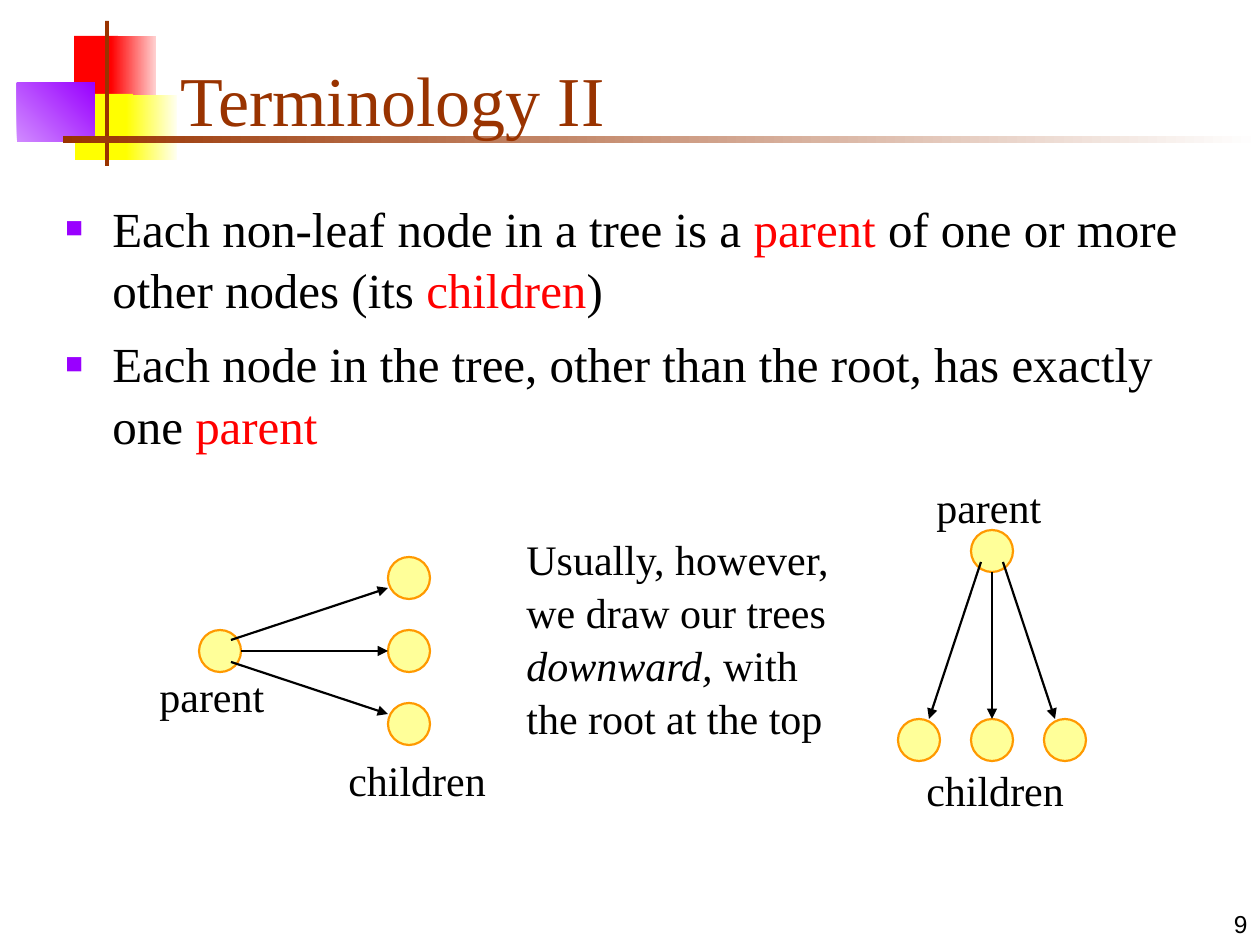
import pptx
import pptx.util
import pptx.dml.color
import pptx.enum.shapes
import pptx.enum.text
import pptx.oxml
import pptx.oxml.ns
import lxml.etree

PX = 914400 // 126
SERIF = "Times New Roman"
COLORS = {"black": "000000", "red": "FF0000", "pale red": "FFD1D1",
          "yellow": "FFFF00", "pale yellow": "FFFFF0", "purple": "9900FF",
          "lilac": "D18BFF", "brown": "993300", "white": "FFFFFF",
          "node": "FFFF99", "node edge": "FF9900"}
SHAPE = pptx.enum.shapes.MSO_SHAPE
ALIGN = pptx.enum.text.PP_ALIGN
ANCHOR = pptx.enum.text.MSO_ANCHOR
rgb = {name: pptx.dml.color.RGBColor.from_string(code) for name, code in COLORS.items()}

deck = pptx.Presentation()
deck.slide_width = pptx.util.Inches(10)
deck.slide_height = pptx.util.Inches(7.5)
slide = deck.slides.add_slide(deck.slide_layouts[6])


def write(paragraphs, box, size=24, font=SERIF, color="black", align=ALIGN.LEFT,
          anchor=ANCHOR.TOP, spacing=1.05, before=0, bullet=False):
    """Each paragraph is a list of runs: (text, color or None, italic)."""
    frame = slide.shapes.add_textbox(*[v * PX for v in box]).text_frame
    frame.word_wrap = True
    frame.vertical_anchor = anchor
    for index, runs in enumerate(paragraphs):
        para = frame.paragraphs[0] if index == 0 else frame.add_paragraph()
        para.alignment = align
        para.line_spacing = spacing
        para.space_before = pptx.util.Pt(before if index else 0)
        for text, run_color, italic in runs:
            run = para.add_run()
            run.text = text
            run.font.size = pptx.util.Pt(size)
            run.font.name = font
            run.font.italic = italic
            run.font.color.rgb = rgb[run_color or color]
        if bullet:
            props = para._p.get_or_add_pPr()
            props.set("marL", str(47 * PX))
            props.set("indent", str(-47 * PX))
            mark = lxml.etree.SubElement(props, pptx.oxml.ns.qn("a:buClr"))
            lxml.etree.SubElement(mark, pptx.oxml.ns.qn("a:srgbClr"), val=COLORS["purple"])
            lxml.etree.SubElement(props, pptx.oxml.ns.qn("a:buSzPct"), val="60000")
            lxml.etree.SubElement(props, pptx.oxml.ns.qn("a:buFont"), typeface="Arial")
            lxml.etree.SubElement(props, pptx.oxml.ns.qn("a:buChar"), char="■")


# Corner ornament: box, start color, end color, angle
for box, start, end, angle in [
        ((74, 36, 44, 65), "red", None, 0),
        ((111, 36, 45, 65), "red", "pale red", 0),
        ((75, 94, 58, 66), "yellow", None, 0),
        ((126, 95, 51, 65), "yellow", "pale yellow", 0),
        ((17, 83, 78, 59), "lilac", "purple", 45),
        ((105, 21, 4, 145), "brown", None, 0),
        ((63, 136, 1197, 7), "brown", "white", 0)]:
    ornament = slide.shapes.add_shape(SHAPE.RECTANGLE, *[v * PX for v in box])
    ornament.shadow.inherit = False
    ornament.line.fill.background()
    if end:
        ornament.fill.gradient()
        ornament.fill.gradient_angle = angle
        for stop, name, position in zip(ornament.fill.gradient_stops, (start, end), (0, 1)):
            stop.color.rgb = rgb[name]
            stop.position = position
    else:
        ornament.fill.solid()
        ornament.fill.fore_color.rgb = rgb[start]

# Page number, title and bullets
write([[("9", None, False)]], (998, 882, 262, 63), size=14, font="Arial",
      align=ALIGN.RIGHT, anchor=ANCHOR.BOTTOM, spacing=1)
write([[("Terminology II", None, False)]], (168, 32, 1073, 115), size=40,
      color="brown", anchor=ANCHOR.BOTTOM, spacing=1)
write([[("Each non-leaf node in a tree is a ", None, False), ("parent", "red", False),
        (" of one or more other nodes (its ", None, False), ("children", "red", False),
        (")", None, False)],
       [("Each node in the tree, other than the root, has exactly one ", None, False),
        ("parent", "red", False)]],
      (53, 189, 1182, 306), size=28, before=7, bullet=True)

# Trees: one grows rightward, the other downward
RADIUS, DEPTH, PITCH = 21, 189, 73
for root_x, root_y, downward, parent_box, children_box in [
        (220, 651, False, (147, 662, 158, 63), (336, 746, 179, 63)),
        (992, 551, True, (924, 473, 158, 63), (914, 756, 179, 63))]:

    # Distances along and across the direction of growth
    nodes = [(0, 0)] + [(DEPTH, PITCH * step) for step in (-1, 0, 1)]
    for along, across in nodes:
        dx, dy = (across, along) if downward else (along, across)
        node = slide.shapes.add_shape(
            SHAPE.OVAL, (root_x + dx - RADIUS) * PX, (root_y + dy - RADIUS) * PX,
            2 * RADIUS * PX, 2 * RADIUS * PX)
        node.shadow.inherit = False
        node.fill.solid()
        node.fill.fore_color.rgb = rgb["node"]
        node.line.color.rgb = rgb["node edge"]
        node.line.width = pptx.util.Pt(1.25)

    for step in (-1, 0, 1):
        ends = [(11 if step else RADIUS, 11 * step), (DEPTH - RADIUS, 63 * step)]
        points = []
        for along, across in ends:
            dx, dy = (across, along) if downward else (along, across)
            points += [(root_x + dx) * PX, (root_y + dy) * PX]
        arrow = slide.shapes.add_connector(
            pptx.enum.shapes.MSO_CONNECTOR.STRAIGHT, *points)
        arrow.line.color.rgb = rgb["black"]
        arrow.line.width = pptx.util.Pt(1.25)
        lxml.etree.SubElement(arrow.line._get_or_add_ln(),
                              pptx.oxml.ns.qn("a:tailEnd"), type="triangle")
        lxml.etree.SubElement(arrow._element.spPr, pptx.oxml.ns.qn("a:effectLst"))

    write([[("parent", None, False)]], parent_box)
    write([[("children", None, False)]], children_box)

# Remark between the trees
write([[("Usually, however, we draw our trees ", None, False), ("downward,", None, True),
        (" with the root at the top", None, False)]], (514, 525, 357, 214))

deck.save("out.pptx")
